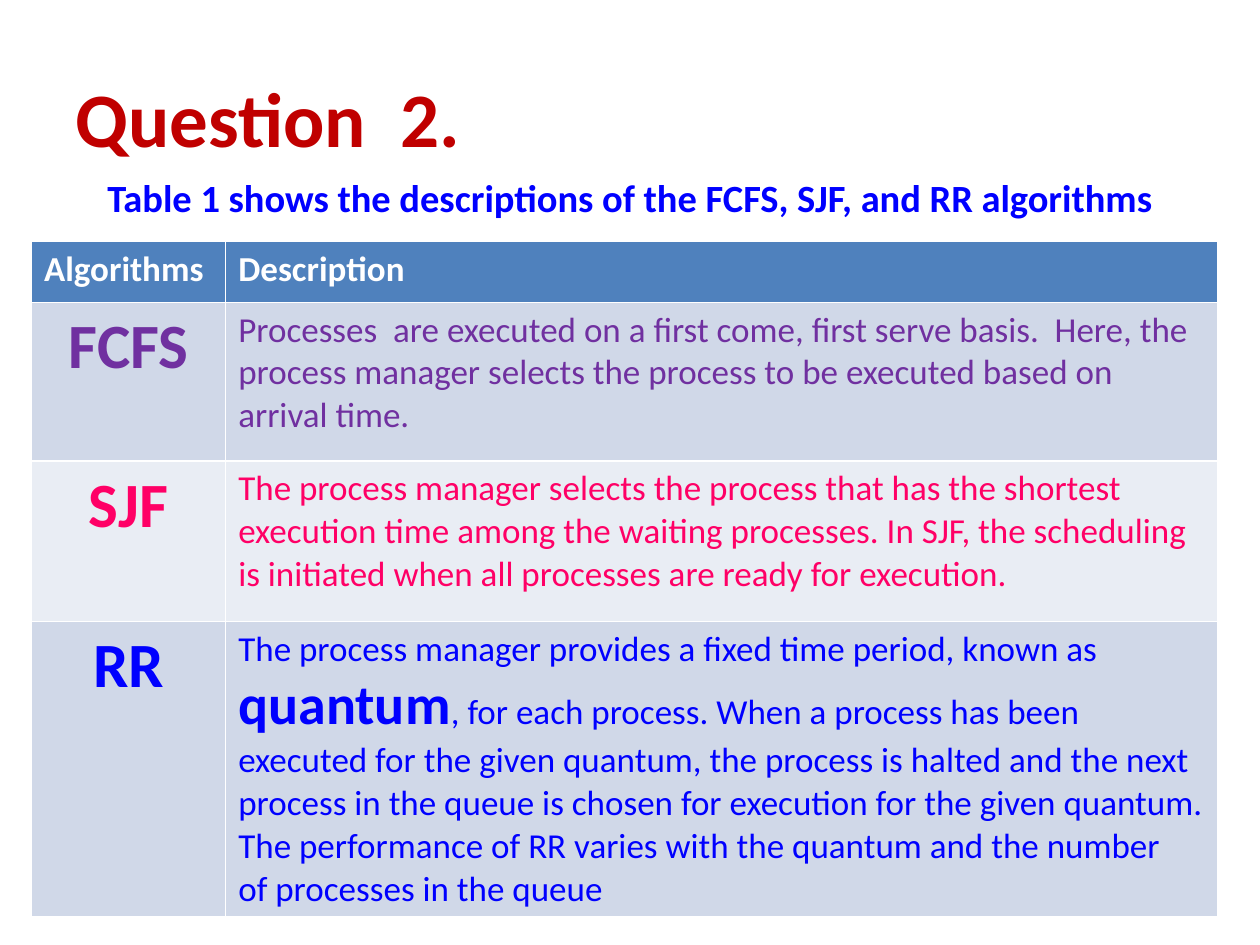
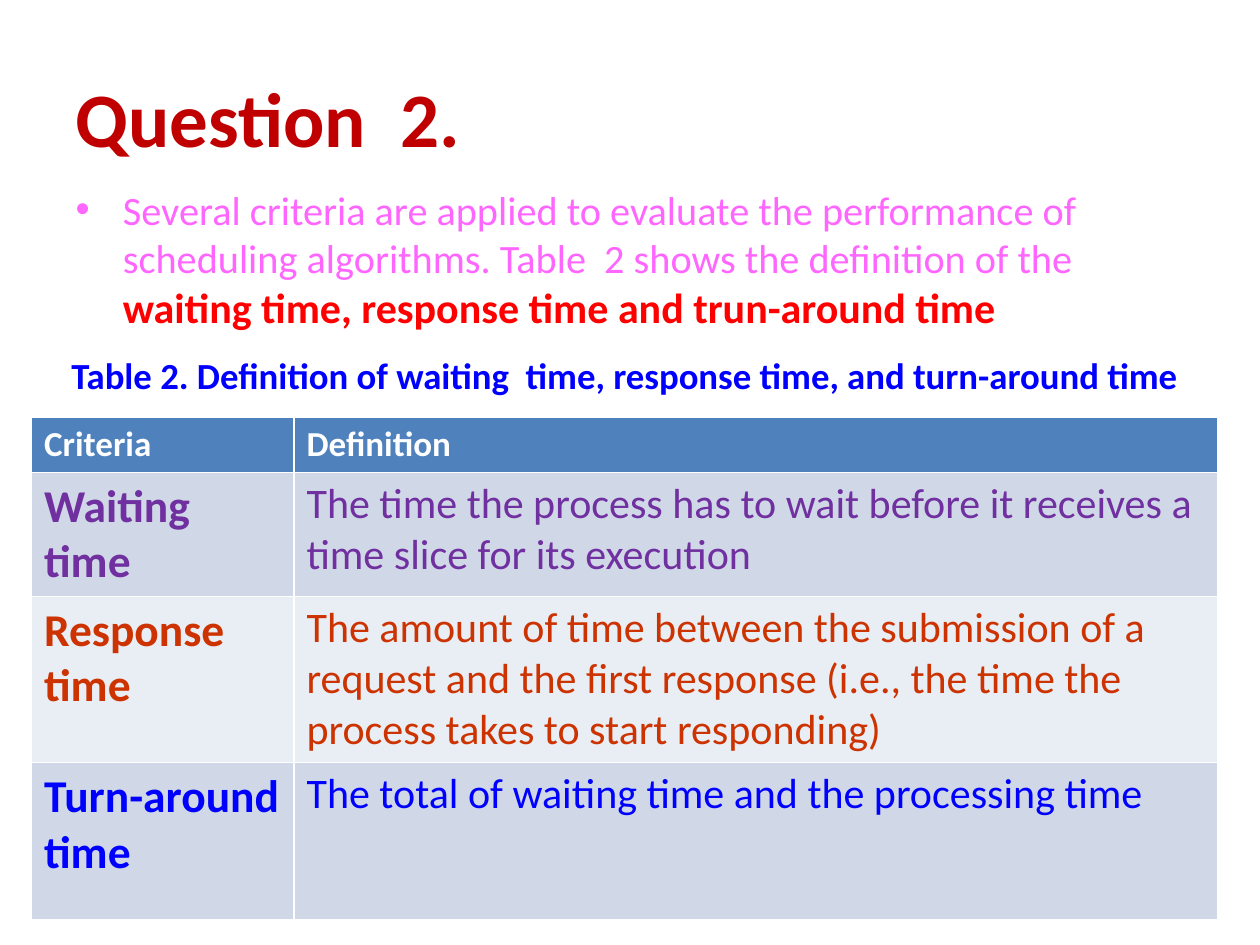
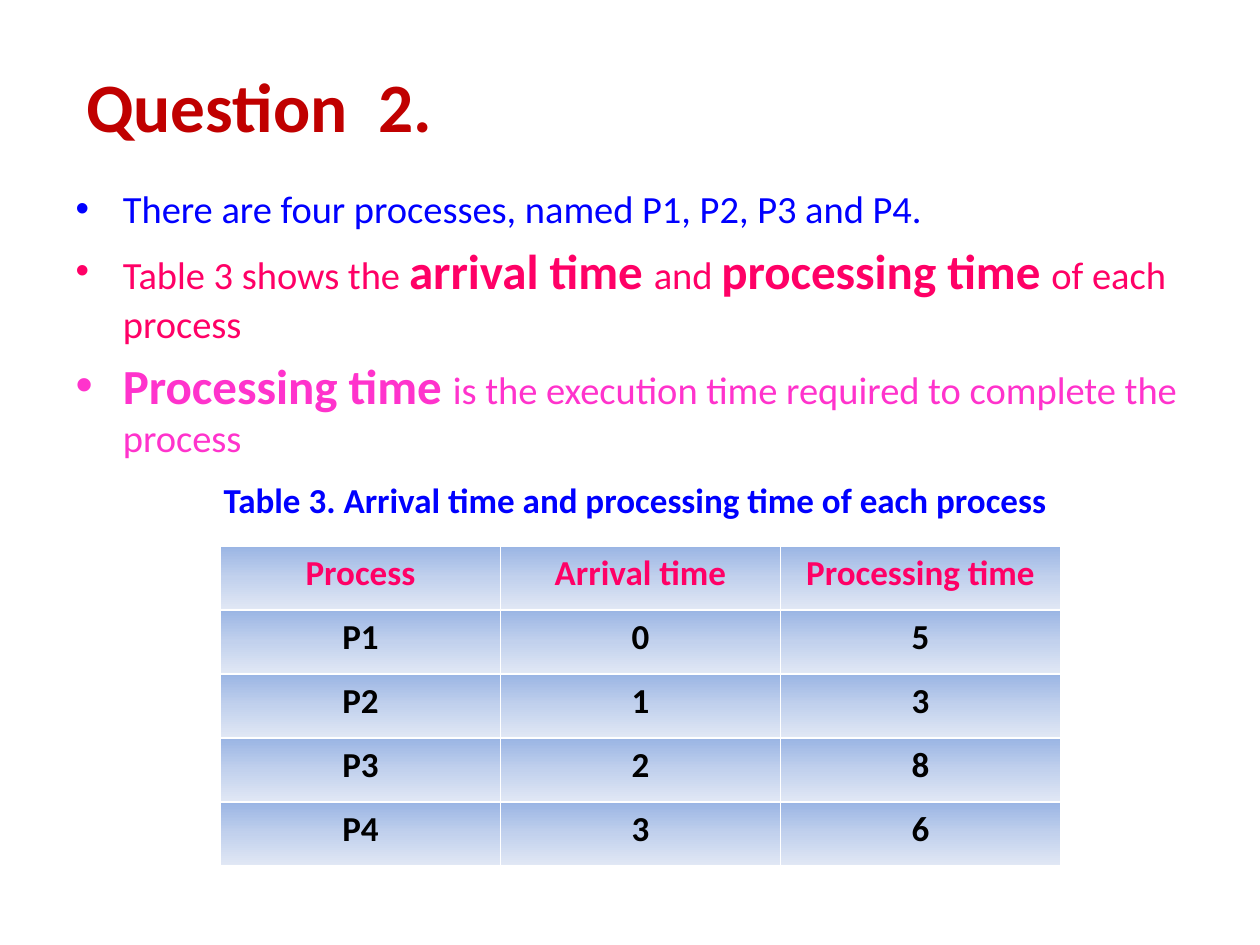
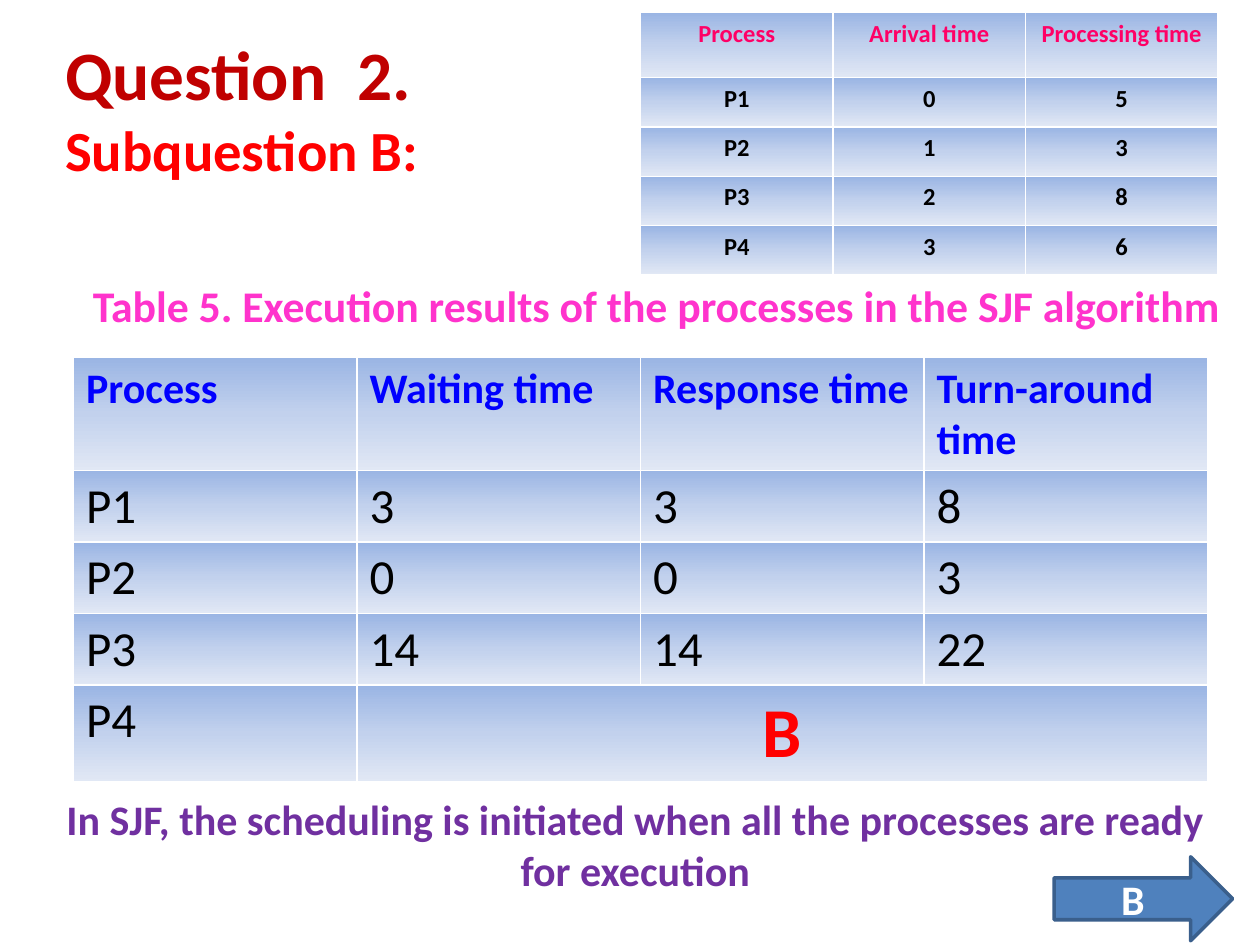
from dataclasses import dataclass
from typing import NamedTuple, Optional

from pptx import Presentation
from pptx.dml.color import RGBColor
from pptx.enum.shapes import MSO_SHAPE
from pptx.enum.text import MSO_ANCHOR, MSO_AUTO_SIZE, PP_ALIGN
from pptx.oxml import parse_xml
from pptx.oxml.ns import nsdecls
from pptx.util import Emu, Pt

EMU_PER_PX = 7620  # 120 px to the inch
FONT = "Calibri"
TITLE = "Question  2."
TITLE_AND_CONTENT, TITLE_ONLY = 1, 5
CENTER = PP_ALIGN.CENTER

COLORS = {
    "title": "C00000",
    "red": "FF0000",
    "blue": "0000FF",
    "purple": "7030A0",
    "rose": "FF0066",
    "pink": "FF66FF",
    "magenta": "FF33CC",
    "rust": "CC3300",
    "black": "000000",
    "white": "FFFFFF",
    "header": "4F81BD",
    "band_dark": "D0D8E8",
    "band_light": "E9EDF4",
    "arrow_line": "3A5F8C",
}
GRADIENT = {0: "9AB5E4", 50: "C2D1ED", 100: "E1E8F5"}
PROCESS_HEADINGS = ("Process", "Arrival time", "Processing time")
PROCESS_ROWS = (("P1", "0", "5"), ("P2", "1", "3"), ("P3", "2", "8"), ("P4", "3", "6"))
RESULT_HEADINGS = ("Process", "Waiting time", "Response time", "Turn-around time")
RESULT_ROWS = (("P1", "3", "3", "8"), ("P2", "0", "0", "3"), ("P3", "14", "14", "22"))


class Box(NamedTuple):
    left: int
    top: int
    width: int
    height: int


class Run(NamedTuple):
    text: str
    size: float
    color: str
    bold: bool = False


class Line(NamedTuple):
    runs: tuple[Run, ...]
    align: Optional[PP_ALIGN] = None


@dataclass
class TableSpec:
    box: Box
    columns: list[int]
    heights: list[int]
    rows: list[list[Line]]
    gradient: bool = False


def px(length: float) -> Emu:
    return Emu(round(length * EMU_PER_PX))


def rgb(name: str) -> RGBColor:
    return RGBColor.from_string(COLORS[name])


def line(text: str, size: float, color: str, bold: bool = False, align=None) -> Line:
    """A line of one run."""
    return Line((Run(text, size, color, bold),), align)


def set_values(target, values: dict) -> None:
    for name, value in values.items():
        setattr(target, name, value)


def place(shape, box: Box) -> None:
    set_values(shape, {name: px(value) for name, value in box._asdict().items()})


def write_lines(text_frame, lines: list[Line]) -> None:
    for index, content in enumerate(lines):
        paragraph = text_frame.add_paragraph() if index else text_frame.paragraphs[0]
        if content.align is not None:
            paragraph.alignment = content.align
        for part in content.runs:
            run = paragraph.add_run()
            run.text = part.text
            set_values(run.font, {"name": FONT, "size": Pt(part.size), "bold": part.bold})
            run.font.color.rgb = rgb(part.color)


def add_title(slide, box: Box, lines: list[Line], margin_bottom: int = 6) -> None:
    """Fill the title; a larger bottom margin lifts the middle-anchored text."""
    title = slide.shapes.title
    place(title, box)
    set_values(title.text_frame, {
        "word_wrap": True,
        "auto_size": MSO_AUTO_SIZE.NONE,
        "vertical_anchor": MSO_ANCHOR.MIDDLE,
        "margin_bottom": px(margin_bottom),
    })
    write_lines(title.text_frame, lines)


def add_body(slide, box: Box, lines: list[Line], bulleted: bool = True) -> None:
    body = slide.placeholders[1]
    place(body, box)
    body.text_frame.auto_size = MSO_AUTO_SIZE.NONE
    write_lines(body.text_frame, lines)
    if not bulleted:
        for paragraph in body.text_frame.paragraphs:
            properties = paragraph._p.get_or_add_pPr()
            properties.append(parse_xml(f"<a:buNone {nsdecls('a')}/>"))


def add_caption(slide, box: Box, text: str, size: float, color: str = "blue") -> None:
    caption = slide.shapes.add_textbox(*map(px, box))
    set_values(caption.text_frame, {
        "word_wrap": True,
        "auto_size": MSO_AUTO_SIZE.SHAPE_TO_FIT_TEXT,
    })
    write_lines(caption.text_frame, [line(text, size, color, True, CENTER)])


def fill_gradient(cell) -> None:
    stops = "".join(
        f'<a:gs pos="{position * 1000}"><a:srgbClr val="{color}"/></a:gs>'
        for position, color in GRADIENT.items()
    )
    cell._tc.get_or_add_tcPr().append(parse_xml(
        f'<a:gradFill rotWithShape="1" {nsdecls("a")}><a:gsLst>{stops}</a:gsLst>'
        '<a:lin ang="5400000" scaled="0"/></a:gradFill>'
    ))


def fill_band(cell, row: int) -> None:
    cell.fill.solid()
    name = "header" if row == 0 else "band_dark" if row % 2 else "band_light"
    cell.fill.fore_color.rgb = rgb(name)


def add_table(slide, spec: TableSpec) -> None:
    """Draw the table; a row with too few cells merges its last one to the right edge."""
    frame = slide.shapes.add_table(
        len(spec.heights), len(spec.columns), *map(px, spec.box)
    )
    table = frame.table
    for column, width in zip(table.columns, spec.columns):
        column.width = px(width)
    for row, height in zip(table.rows, spec.heights):
        row.height = px(height)
    place(frame, spec.box)
    last_column = len(spec.columns) - 1
    for row_index, contents in enumerate(spec.rows):
        if len(contents) <= last_column:
            first = table.cell(row_index, len(contents) - 1)
            first.merge(table.cell(row_index, last_column))
        for column_index, content in enumerate(contents):
            cell = table.cell(row_index, column_index)
            write_lines(cell.text_frame, [content])
            if spec.gradient:
                fill_gradient(cell)
            else:
                fill_band(cell, row_index)


def add_process_table(slide, box: Box, heights: list[int], size: float) -> None:
    rows = [[line(text, size, "rose", True, CENTER) for text in PROCESS_HEADINGS]]
    rows += [
        [line(text, size, "black", True, CENTER) for text in values]
        for values in PROCESS_ROWS
    ]
    columns = [box.width / 3] * 3
    add_table(slide, TableSpec(box, columns, heights, rows, gradient=True))


def header_row(*headings: str) -> list[Line]:
    return [line(text, 20, "white", True) for text in headings]


def build_algorithms(slide) -> None:
    add_title(slide, Box(60, 36, 1080, 150), [line(TITLE, 44, "title", True)])
    add_body(slide, Box(60, 160, 1080, 644), [line(
        "Table 1 shows the descriptions of the FCFS, SJF, and RR algorithms",
        22, "blue", True, CENTER,
    )], bulleted=False)
    rows = [
        header_row("Algorithms", "Description"),
        [
            line("FCFS", 36, "purple", True, CENTER),
            line("Processes  are executed on a first come, first serve basis.  Here, the "
                 "process manager selects the process to be executed based on arrival time.",
                 20, "purple"),
        ],
        [
            line("SJF", 36, "rose", True, CENTER),
            line("The process manager selects the process that has the shortest execution "
                 "time among the waiting processes. In SJF, the scheduling is initiated when "
                 "all processes are ready for execution.", 20, "rose"),
        ],
        [
            line("RR", 36, "blue", True, CENTER),
            Line((
                Run("The process manager provides a fixed time period, known as ", 20, "blue"),
                Run("quantum", 32, "blue", True),
                Run(", for each process. When a process has been executed for the given "
                    "quantum, the process is halted and the next process in the queue is "
                    "chosen for execution for the given quantum. The performance of RR varies "
                    "with the quantum and the number  of processes in the queue", 20, "blue"),
            )),
        ],
    ]
    add_table(slide, TableSpec(
        Box(30, 230, 1130, 640), [185, 945], [58, 151, 153, 278], rows
    ))


def build_criteria(slide) -> None:
    add_title(slide, Box(60, 36, 1080, 150), [line(TITLE, 44, "title", True)])
    add_body(slide, Box(60, 170, 1080, 680), [Line((
        Run("Several criteria are applied to evaluate the performance of scheduling "
            "algorithms. Table  2 shows the definition of the ", 23, "pink"),
        Run("waiting time, response time and trun-around time", 24, "red", True),
    ))])
    definitions = (
        ("Waiting time", "purple",
         "The time the process has to wait before it receives a time slice for its execution"),
        ("Response time", "rust",
         "The amount of time between the submission of a request and the first response "
         "(i.e., the time the process takes to start responding)"),
        ("Turn-around time", "blue",
         "The total of waiting time and the processing time"),
    )
    rows = [header_row("Criteria", "Definition")]
    rows += [
        [line(criterion, 26, color, True), line(definition, 24, color)]
        for criterion, color, definition in definitions
    ]
    add_table(slide, TableSpec(
        Box(30, 397, 1130, 474), [250, 880], [48, 100, 144, 150], rows
    ))
    add_caption(
        slide, Box(40, 330, 1110, 54),
        "Table 2. Definition of waiting  time, response time, and turn-around time", 21,
    )


def build_processes(slide) -> None:
    add_title(slide, Box(70, 90, 1080, 100), [line(TITLE, 39.6, "title", True)], 86)
    add_body(slide, Box(60, 170, 1110, 700), [
        line("There are four processes, named P1, P2, P3 and P4.", 22, "blue"),
        Line((
            Run("Table 3 shows the ", 22, "rose"),
            Run("arrival time ", 28, "rose", True),
            Run("and ", 22, "rose"),
            Run("processing time ", 28, "rose", True),
            Run("of each process", 22, "rose"),
        )),
        Line((
            Run("Processing time ", 28, "magenta", True),
            Run("is the execution time required to complete the process", 22, "magenta"),
        )),
    ])
    add_caption(
        slide, Box(50, 450, 1110, 53),
        "Table 3. Arrival time and processing time of each process", 20,
    )
    add_process_table(slide, Box(210, 520, 800, 304), [61] * 5, 20)


def add_answer_arrow(slide) -> None:
    arrow = slide.shapes.add_shape(
        MSO_SHAPE.RIGHT_ARROW, *map(px, Box(1004, 816, 170, 80))
    )
    arrow.shadow.inherit = False
    arrow.fill.solid()
    arrow.fill.fore_color.rgb = rgb("header")
    arrow.line.color.rgb = rgb("arrow_line")
    arrow.line.width = Pt(2)
    arrow.text_frame.vertical_anchor = MSO_ANCHOR.MIDDLE
    write_lines(arrow.text_frame, [line("B", 24, "white", True, CENTER)])


def build_subquestion(slide) -> None:
    add_title(slide, Box(50, 60, 1080, 150), [
        line(TITLE, 39.6, "title", True),
        line("Subquestion B:", 32.4, "red", True),
    ], 72)
    add_caption(
        slide, Box(50, 260, 1150, 62),
        "Table 5. Execution results of the processes in the SJF algorithm", 25, "magenta",
    )
    rows = [[line(text, 24, "blue", True) for text in RESULT_HEADINGS]]
    rows += [[line(text, 28, "black") for text in values] for values in RESULT_ROWS]
    rows.append([line("P4", 28, "black"), line("B", 40, "red", True, CENTER)])
    add_table(slide, TableSpec(
        Box(70, 340, 1080, 404), [270] * 4, [102, 64, 64, 64, 86], rows, gradient=True
    ))
    add_caption(
        slide, Box(30, 750, 1150, 109),
        "In SJF, the scheduling is initiated when all the processes are ready for execution",
        24, "purple",
    )
    add_process_table(slide, Box(610, 12, 550, 248), [62] + [47] * 4, 14)
    add_answer_arrow(slide)


def main() -> None:
    presentation = Presentation()
    presentation.slide_width, presentation.slide_height = px(1200), px(900)
    for paragraph_style in presentation.slide_master.element.iter(
        "{http://schemas.openxmlformats.org/drawingml/2006/main}lvl1pPr"
    ):
        if paragraph_style.getparent().tag.endswith("titleStyle"):
            paragraph_style.set("algn", "l")
    builders = (
        (TITLE_AND_CONTENT, build_algorithms),
        (TITLE_AND_CONTENT, build_criteria),
        (TITLE_AND_CONTENT, build_processes),
        (TITLE_ONLY, build_subquestion),
    )
    for layout, build in builders:
        build(presentation.slides.add_slide(presentation.slide_layouts[layout]))
    presentation.save("out.pptx")


if __name__ == "__main__":
    main()
